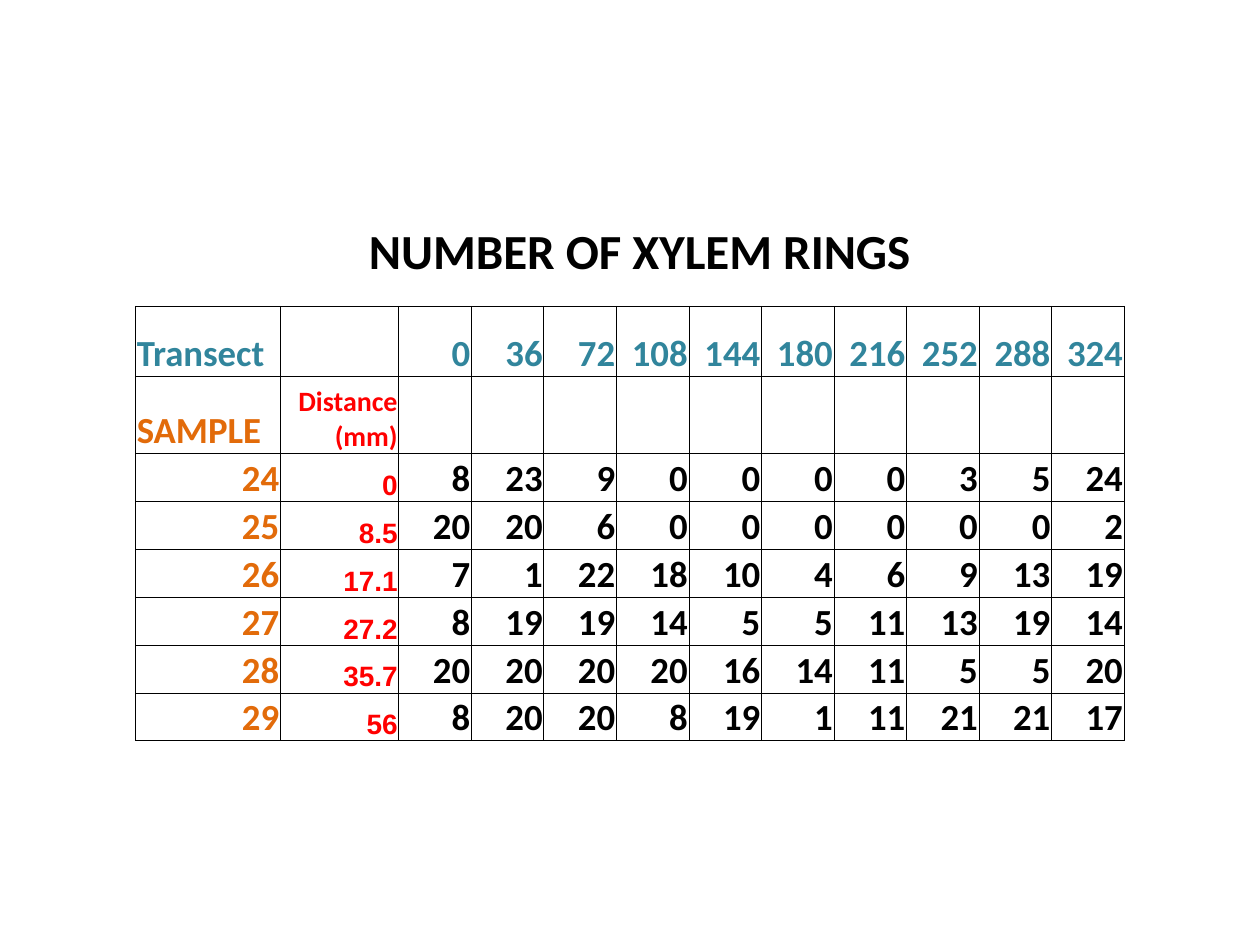
from lxml import etree
from pptx import Presentation
from pptx import util as u
from pptx.dml import color
from pptx.enum import text
from pptx.oxml import ns

TITLE = "NUMBER OF XYLEM RINGS"
TRANSECTS = [0, 36, 72, 108, 144, 180, 216, 252, 288, 324]
SAMPLES = [
    (24, 0, [8, 23, 9, 0, 0, 0, 0, 3, 5, 24]),
    (25, 8.5, [20, 20, 6, 0, 0, 0, 0, 0, 0, 2]),
    (26, 17.1, [7, 1, 22, 18, 10, 4, 6, 9, 13, 19]),
    (27, 27.2, [8, 19, 19, 14, 5, 5, 11, 13, 19, 14]),
    (28, 35.7, [20, 20, 20, 20, 16, 14, 11, 5, 5, 20]),
    (29, 56, [8, 20, 20, 8, 19, 1, 11, 21, 21, 17]),
]
THEME = {
    "transect": "31859C", "sample": "E26B0A", "distance": "FF0000", "ink": "000000",
    "title_size": 28, "size": 21, "distance_size": 16, "empty_size": 6,
    "font": "Calibri", "distance_font": "Arial", "rule": 0.5,
}
LEFT, TOP, WIDTH = 0.5, 2.43, 9
LABEL_WIDTHS = [1.15, 0.94]
ROW_HEIGHTS = [0.56, 0.61] + [0.38] * len(SAMPLES) + [0.15]
SIDES = {"L": (0, -1), "R": (0, 1), "T": (-1, 0), "B": (1, 0)}


def write(frame, content, ink="ink", size="size", font="font", align="RIGHT"):
    paragraph = frame.paragraphs[0]
    paragraph.alignment = getattr(text.PP_ALIGN, align)
    run = paragraph.add_run()
    run.text = str(content)
    run.font.size = u.Pt(THEME[size])
    run.font.name = THEME[font]
    run.font.bold = True
    run.font.color.rgb = color.RGBColor.from_string(THEME[ink])


def draw_border(cell, side, visible):
    width = str(u.Pt(THEME["rule"]))
    line = etree.SubElement(cell._tc.get_or_add_tcPr(), ns.qn("a:ln" + side), w=width)
    if visible:
        solid = etree.SubElement(line, ns.qn("a:solidFill"))
        etree.SubElement(solid, ns.qn("a:srgbClr"), val=THEME["ink"])
    else:
        etree.SubElement(line, ns.qn("a:noFill"))


def ring_rows():
    transect = {"ink": "transect"}
    distance = {"ink": "distance", "size": "distance_size"}
    yield [("Transect", {"ink": "transect", "align": "LEFT"}), None,
           *((angle, transect) for angle in TRANSECTS)]
    yield [("SAMPLE", {"ink": "sample", "align": "LEFT"}), ("Distance (mm)", distance)]
    for sample, depth, rings in SAMPLES:
        yield [(sample, {"ink": "sample"}), (depth, {**distance, "font": "distance_font"}),
               *((count, {}) for count in rings)]


def add_ring_table(slide):
    row_count = len(ROW_HEIGHTS)
    column_count = len(LABEL_WIDTHS) + len(TRANSECTS) + 2
    narrow = (WIDTH - sum(LABEL_WIDTHS)) / (column_count - len(LABEL_WIDTHS))
    widths = [narrow, *LABEL_WIDTHS] + [narrow] * (len(TRANSECTS) + 1)
    rings = slide.shapes.add_table(
        row_count, column_count, u.Inches(LEFT), u.Inches(TOP),
        u.Inches(WIDTH), u.Inches(sum(ROW_HEIGHTS))).table
    rings.first_row = rings.horz_banding = False
    for column, width in zip(rings.columns, widths):
        column.width = u.Inches(width)
    for row, height in zip(rings.rows, ROW_HEIGHTS):
        row.height = u.Inches(height)

    entries = {(r, c): entry for r, row in enumerate(ring_rows())
               for c, entry in enumerate(row, 1) if entry}

    def in_grid(r, c):
        return 0 <= r < row_count - 1 and 0 < c < column_count - 1

    for r in range(row_count):
        for c in range(column_count):
            cell = rings.cell(r, c)
            cell.margin_left = cell.margin_right = cell.margin_top = u.Inches(0.01)
            cell.margin_bottom = 0
            cell.vertical_anchor = text.MSO_ANCHOR.BOTTOM
            for side, (down, across) in SIDES.items():
                draw_border(cell, side, in_grid(r, c) or in_grid(r + down, c + across))
            cell.fill.background()
            if (r, c) in entries:
                content, style = entries[r, c]
                write(cell.text_frame, content, **style)
            else:
                etree.SubElement(cell.text_frame.paragraphs[0]._p, ns.qn("a:endParaRPr"),
                                 sz=str(THEME["empty_size"] * 100))


def main():
    deck = Presentation()
    deck.slide_width, deck.slide_height = u.Inches(10), u.Inches(7.5)
    slide = deck.slides.add_slide(deck.slide_layouts[6])
    add_ring_table(slide)
    title = slide.shapes.add_textbox(u.Inches(2.83), u.Inches(1.7), u.Inches(4.92), u.Inches(0.57))
    title.text_frame.word_wrap = True
    title.text_frame.auto_size = text.MSO_AUTO_SIZE.SHAPE_TO_FIT_TEXT
    write(title.text_frame, TITLE, size="title_size", align="LEFT")
    deck.save("out.pptx")


if __name__ == "__main__":
    main()
